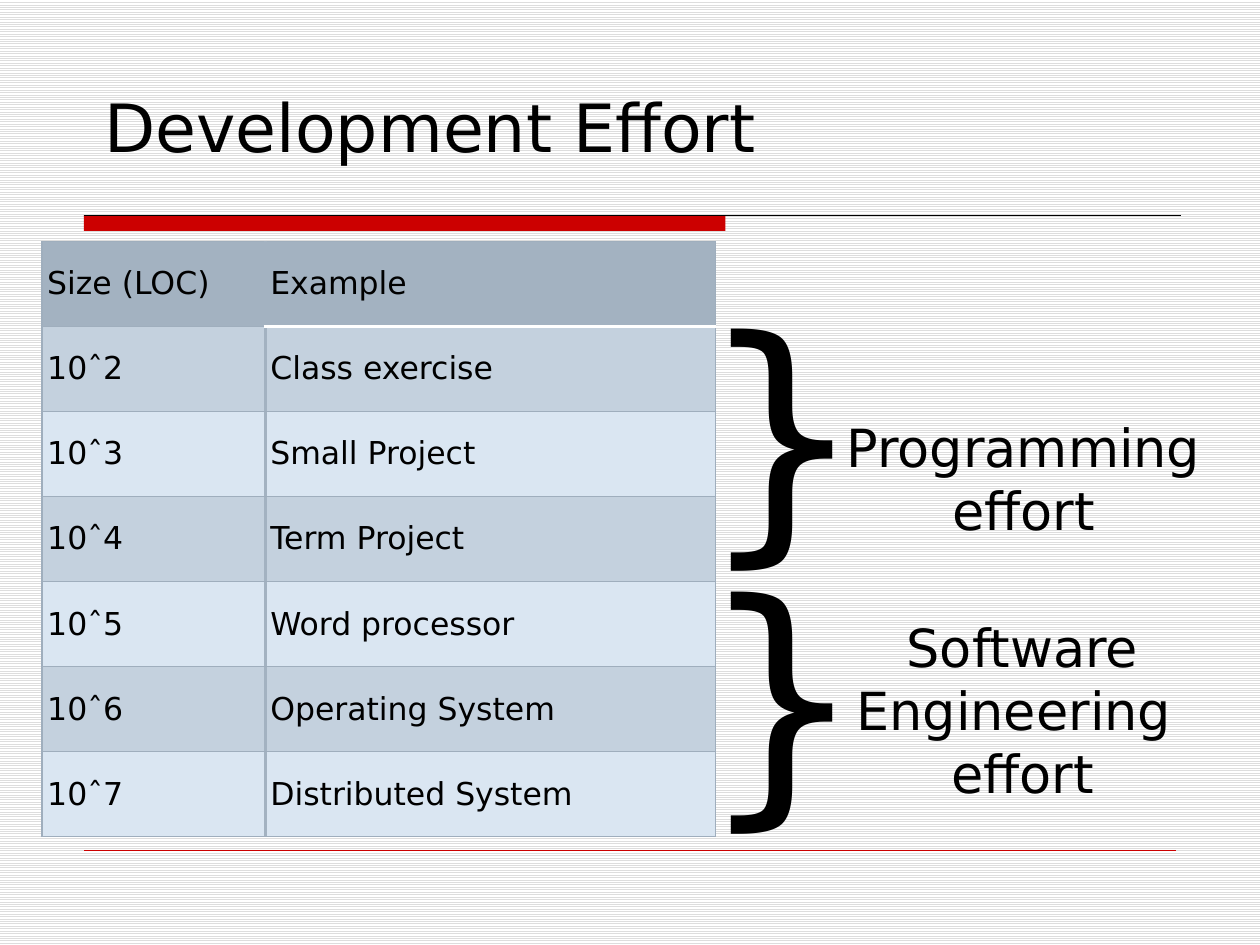
from lxml.etree import SubElement
from pptx import Presentation
from pptx.dml.color import RGBColor
from pptx.enum.dml import MSO_PATTERN
from pptx.enum.shapes import MSO_CONNECTOR, MSO_SHAPE
from pptx.enum.text import MSO_ANCHOR, PP_ALIGN
from pptx.oxml.ns import qn
from pptx.util import Pt

FONT = "DejaVu Sans"
BLACK = RGBColor(0x00, 0x00, 0x00)
WHITE = RGBColor(0xFF, 0xFF, 0xFF)
STRIPE = RGBColor(0xDD, 0xDD, 0xDD)
RED = RGBColor(0xCC, 0x00, 0x00)
HEADER = RGBColor(0xA3, 0xB2, 0xC1)
BAND_DARK = RGBColor(0xC4, 0xD1, 0xDE)
BAND_LIGHT = RGBColor(0xDA, 0xE6, 0xF2)
GRID = RGBColor(0x9F, 0xAE, 0xBD)
INSET = Pt(3)


def write(tf, text, size=18, align=PP_ALIGN.LEFT, anchor=MSO_ANCHOR.MIDDLE):
    """Fill a text frame, one paragraph for each line of text."""
    tf.vertical_anchor = anchor
    for i, line in enumerate(text.split("\n")):
        p = tf.paragraphs[0] if i == 0 else tf.add_paragraph()
        p.alignment = align
        r = p.add_run()
        r.text = line
        r.font.name = FONT
        r.font.size = Pt(size)
        r.font.color.rgb = BLACK


def add_border(cell, side, color, width):
    ln = SubElement(cell._tc.get_or_add_tcPr(), qn("a:ln" + side), w=str(Pt(width)))
    fill = SubElement(ln, qn("a:solidFill"))
    SubElement(fill, qn("a:srgbClr"), val=str(color))


prs = Presentation()
prs.slide_width, prs.slide_height = Pt(720), Pt(540)
s = prs.slides.add_slide(prs.slide_layouts[5])

bg = s.background.fill
bg.patterned()
bg.pattern = MSO_PATTERN.LIGHT_HORIZONTAL
bg.fore_color.rgb = STRIPE
bg.back_color.rgb = WHITE

# Title and rules
title = s.shapes.title
title.left, title.top, title.width, title.height = Pt(52.5), Pt(6.5), Pt(615), Pt(92)
write(title.text_frame, "Development Effort", size=38, anchor=MSO_ANCHOR.BOTTOM)

bar = s.shapes.add_shape(MSO_SHAPE.RECTANGLE, Pt(48), Pt(123), Pt(366.5), Pt(9))
bar.shadow.inherit = False
bar.fill.solid()
bar.fill.fore_color.rgb = RED
bar.line.fill.background()

for y, right, color, width in [(123, 675, BLACK, 0.75), (486, 672, RED, 0.25)]:
    rule = s.shapes.add_connector(MSO_CONNECTOR.STRAIGHT, Pt(48), Pt(y), Pt(right), Pt(y))
    rule.line.color.rgb = color
    rule.line.width = Pt(width)
    SubElement(rule._element.spPr, qn("a:effectLst"))

# Table of program sizes
rows = [
    ("Size (LOC)", "Example"),
    ("10ˆ2", "Class exercise"),
    ("10ˆ3", "Small Project"),
    ("10ˆ4", "Term Project"),
    ("10ˆ5", "Word processor"),
    ("10ˆ6", "Operating System"),
    ("10ˆ7", "Distributed System"),
]
ROW_HEIGHT = 48.6
table = s.shapes.add_table(len(rows), 2, Pt(24), Pt(138), Pt(385),
                           Pt(ROW_HEIGHT * len(rows))).table
table.columns[0].width, table.columns[1].width = Pt(127.5), Pt(257.5)

for i, row in enumerate(rows):
    table.rows[i].height = Pt(ROW_HEIGHT)
    for j, text in enumerate(row):
        cell = table.cell(i, j)
        cell.margin_left = cell.margin_right = INSET
        cell.margin_top = cell.margin_bottom = INSET
        cell.vertical_anchor = MSO_ANCHOR.MIDDLE
        write(cell.text_frame, text)
        divider = (HEADER, 2)
        thin = (GRID, 0.75)
        under_header = (WHITE, 2) if j == 1 else thin
        add_border(cell, "L", *(divider if j == 1 else thin))
        add_border(cell, "R", *(divider if j == 0 else thin))
        add_border(cell, "T", *(under_header if i == 1 else thin))
        add_border(cell, "B", *(under_header if i == 0 else thin))
        cell.fill.solid()
        if i == 0:
            cell.fill.fore_color.rgb = HEADER
        else:
            cell.fill.fore_color.rgb = BAND_DARK if i % 2 else BAND_LIGHT

# Braces and their labels
labels = [
    ("}", 396, 148.5, 102, 187, 150, PP_ALIGN.LEFT),
    ("}", 396, 299, 102, 187, 150, PP_ALIGN.LEFT),
    ("Programming\neffort", 480, 234, 210, 78.5, 30, PP_ALIGN.CENTER),
    ("Software\nEngineering \neffort", 486, 348, 196.5, 114.5, 30, PP_ALIGN.CENTER),
]
for text, x, y, w, h, size, align in labels:
    tf = s.shapes.add_textbox(Pt(x), Pt(y), Pt(w), Pt(h)).text_frame
    tf.word_wrap = False
    tf.margin_left = tf.margin_right = tf.margin_top = tf.margin_bottom = INSET
    write(tf, text, size=size, align=align)

prs.save("out.pptx")
